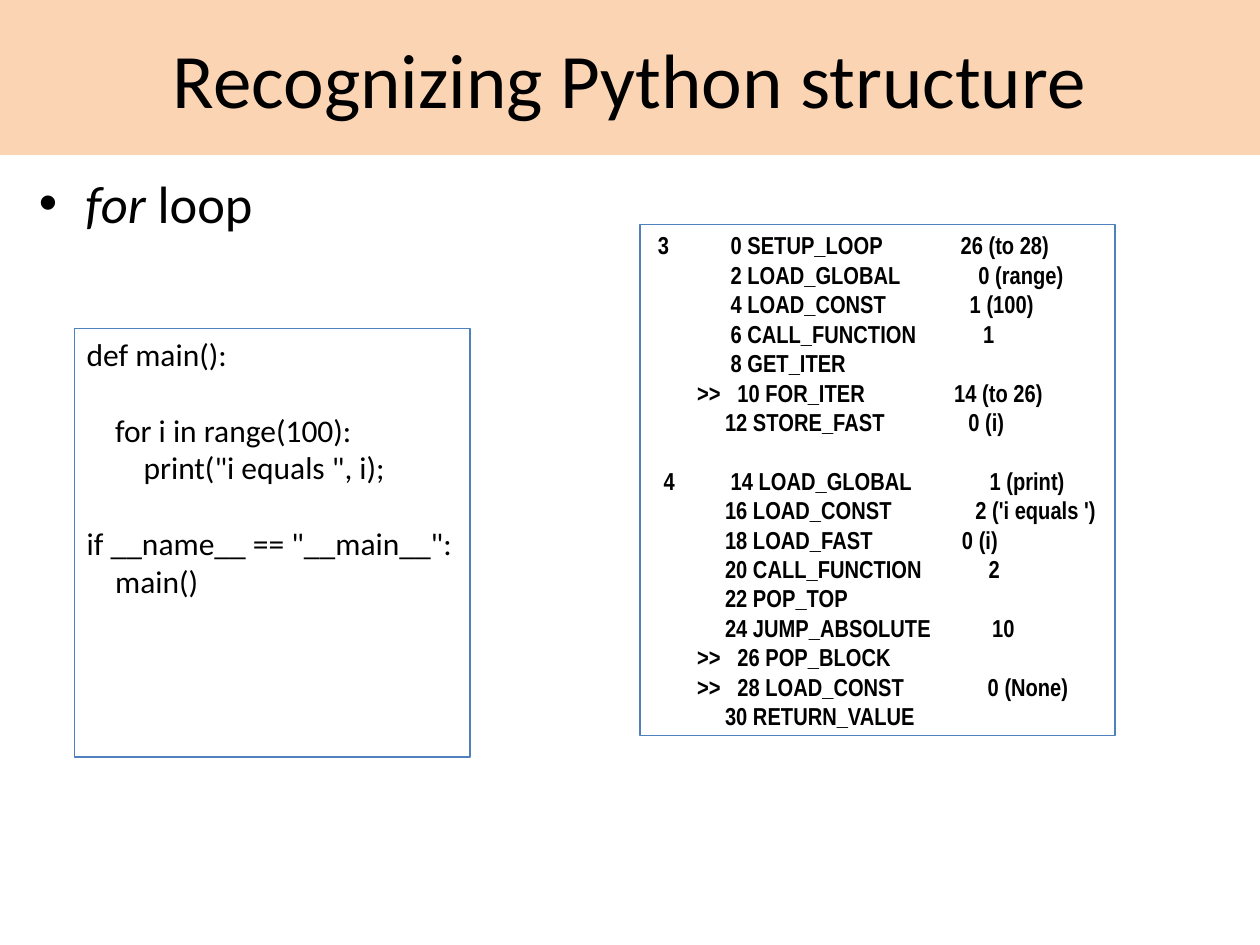
import pptx
import pptx.util
import pptx.dml.color
import pptx.enum.shapes
import pptx.enum.text
import pptx.oxml
import pptx.oxml.ns
from pptx.util import Inches

COLORS = {"band": "FBD4B4", "border": "4F81BD", "text": "000000"}
ALIGN = pptx.enum.text.PP_ALIGN
ANCHOR = pptx.enum.text.MSO_ANCHOR

SOURCE_CODE = '''def main():

    for i in range(100):
        print("i equals ", i);

if __name__ == "__main__":
    main()'''

BYTECODE = ''' 3           0 SETUP_LOOP              26 (to 28)
              2 LOAD_GLOBAL              0 (range)
              4 LOAD_CONST               1 (100)
              6 CALL_FUNCTION            1
              8 GET_ITER
        >>   10 FOR_ITER                14 (to 26)
             12 STORE_FAST               0 (i)

  4          14 LOAD_GLOBAL              1 (print)
             16 LOAD_CONST               2 ('i equals ')
             18 LOAD_FAST                0 (i)
             20 CALL_FUNCTION            2
             22 POP_TOP
             24 JUMP_ABSOLUTE           10
        >>   26 POP_BLOCK
        >>   28 LOAD_CONST               0 (None)
             30 RETURN_VALUE'''


def rgb(name):
    return pptx.dml.color.RGBColor.from_string(COLORS[name])


def add_run(p, text, size=18, font="Calibri", bold=False, italic=False):
    r = p.add_run()
    r.text = text
    r.font.size = pptx.util.Pt(size)
    r.font.name = font
    r.font.bold = bold
    r.font.italic = italic
    r.font.color.rgb = rgb("text")


def add_box(s, left, top, width, height, fill=None, line=None, anchor=ANCHOR.TOP):
    sp = s.shapes.add_shape(pptx.enum.shapes.MSO_SHAPE.RECTANGLE, Inches(left),
                            Inches(top), Inches(width), Inches(height))
    sp.shadow.inherit = False
    if fill:
        sp.fill.solid()
        sp.fill.fore_color.rgb = rgb(fill)
    else:
        sp.fill.background()
    if line:
        sp.line.color.rgb = rgb(line)
        sp.line.width = pptx.util.Pt(0.75)
    else:
        sp.line.fill.background()
    tf = sp.text_frame
    tf.word_wrap = True
    tf.vertical_anchor = anchor
    return tf


def add_title(s, text):
    tf = add_box(s, 0, 0, 10, 1.23, fill="band", anchor=ANCHOR.MIDDLE)
    p = tf.paragraphs[0]
    p.alignment = ALIGN.CENTER
    add_run(p, text, size=44)


def add_bullet(p, indent, hanging):
    pPr = p._p.get_or_add_pPr()
    pPr.set("marL", str(Inches(indent)))
    pPr.set("indent", str(-Inches(hanging)))
    ns = pptx.oxml.ns.nsdecls("a")
    for xml in (f'<a:buClr {ns}><a:srgbClr val="{COLORS["text"]}"/></a:buClr>',
                f'<a:buFont {ns} typeface="Arial"/>',
                f'<a:buChar {ns} char="•"/>'):
        pPr.append(pptx.oxml.parse_xml(xml))


def add_code(s, code, left, top, width, height, size, **fmt):
    tf = add_box(s, left, top, width, height, line="border")
    p, gap = tf.paragraphs[0], False
    for i, line in enumerate(code.split("\n")):
        if not line:
            gap = True
            continue
        if i:
            p = tf.add_paragraph()
        p.alignment = ALIGN.LEFT
        # An empty code line becomes one line of space before the next
        if gap:
            p.space_before = pptx.util.Pt(1.2 * size)
        gap = False
        add_run(p, line, size=size, **fmt)


def main():
    prs = pptx.Presentation()
    prs.slide_width, prs.slide_height = Inches(10), Inches(7.5)
    s = prs.slides.add_slide(prs.slide_layouts[6])

    # Title band
    add_title(s, "Recognizing Python structure")

    # Topic bullet
    tf = s.shapes.add_textbox(Inches(0.2), Inches(1.31), Inches(9.61), Inches(5.59)).text_frame
    tf.word_wrap = True
    p = tf.paragraphs[0]
    add_bullet(p, 0.38, 0.37)
    add_run(p, "for", size=30, italic=True)
    add_run(p, " loop", size=30)

    # Bytecode and the source it comes from
    add_code(s, BYTECODE, 5.08, 1.78, 3.77, 4.06, 14, font="Arial Narrow", bold=True)
    add_code(s, SOURCE_CODE, 0.59, 2.61, 3.14, 3.4, 18)

    prs.save("out.pptx")


if __name__ == "__main__":
    main()
